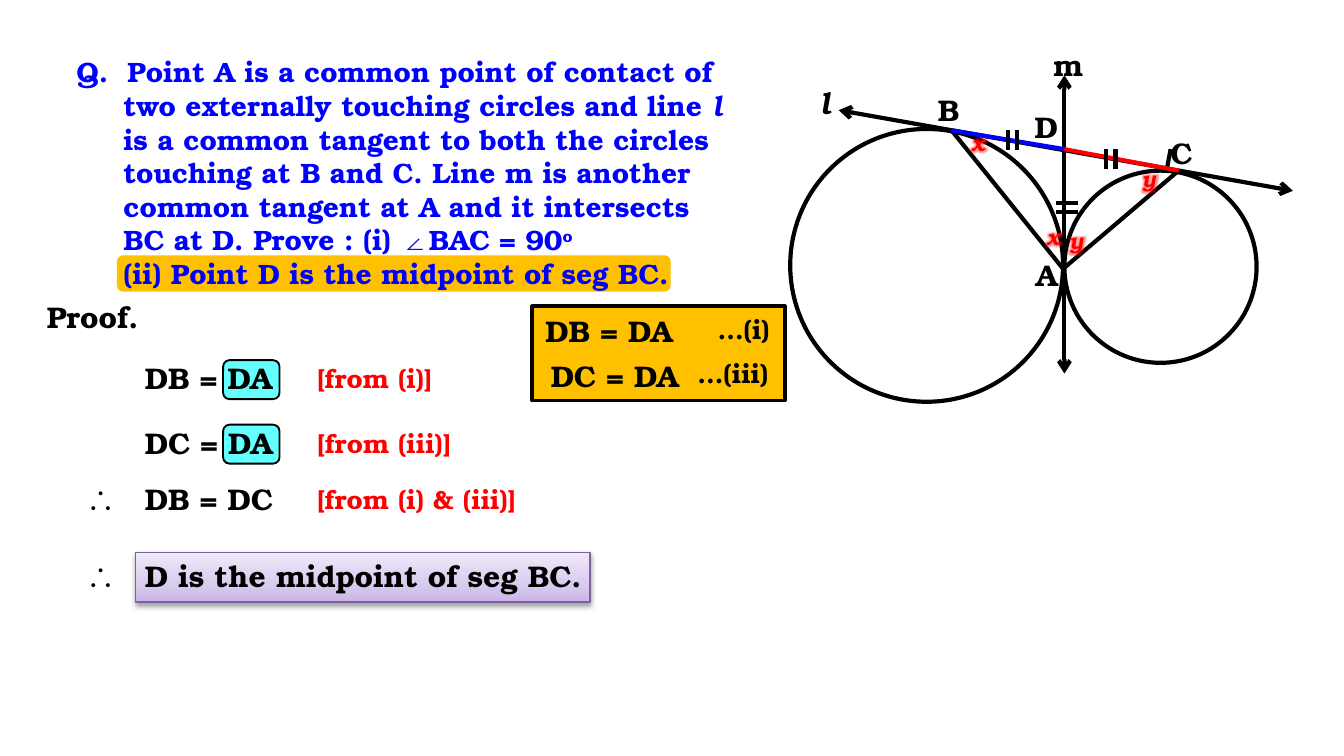
from lxml import etree
from pptx import Presentation
from pptx.dml.color import RGBColor
from pptx.enum import shapes
from pptx.oxml import ns, parse_xml
from pptx.util import Inches, Pt

BLACK = RGBColor(0x00, 0x00, 0x00)
BLUE = RGBColor(0x00, 0x00, 0xFF)
RED = RGBColor(0xFF, 0x00, 0x00)
AMBER = RGBColor(0xFF, 0xC0, 0x00)
CYAN = RGBColor(0x66, 0xFF, 0xFF)
PURPLE = RGBColor(0x7D, 0x60, 0xA0)
LILACS = ((0, "C9B5E8"), (35, "D8CBEE"), (100, "F0EAF9"))
SERIF = "TeX Gyre Bonum"
SANS = "Arial"
SHAPE = shapes.MSO_SHAPE


def style(paragraph, size, color, name=SERIF, italic=False):
    """Set the bold font shared by a paragraph."""
    font = paragraph.font
    font.size, font.name, font.bold, font.italic = Pt(size), name, True, italic
    font.color.rgb = color


def add_text(slide, words, left, top, width, height=0.37, size=16,
             color=BLACK, name=SERIF, italic=False, wrap=False):
    """Place one line of text and return its paragraph."""
    box = slide.shapes.add_textbox(
        Inches(left), Inches(top), Inches(width), Inches(height))
    box.text_frame.word_wrap = wrap
    paragraph = box.text_frame.paragraphs[0]
    paragraph.add_run().text = words
    style(paragraph, size, color, name, italic)
    return paragraph


def add_shape(slide, kind, left, top, width, height, fill=None, line=None, weight=1):
    """Place a flat preset shape."""
    shape = slide.shapes.add_shape(
        kind, Inches(left), Inches(top), Inches(width), Inches(height))
    shape.shadow.inherit = False
    if fill is None:
        shape.fill.background()
    else:
        shape.fill.solid()
        shape.fill.fore_color.rgb = fill
    if line is None:
        shape.line.fill.background()
    else:
        shape.line.color.rgb = line
        shape.line.width = Pt(weight)
    return shape


def add_line(slide, start, end, color=BLACK, arrows=False):
    """Draw a straight line, with arrowheads at both ends if asked."""
    connector = slide.shapes.add_connector(
        shapes.MSO_CONNECTOR.STRAIGHT, *map(Inches, (*start, *end)))
    connector.line.color.rgb = color
    connector.line.width = Pt(2.25)
    if arrows:
        outline = connector.line._get_or_add_ln()
        for tag in ("a:headEnd", "a:tailEnd"):
            etree.SubElement(outline, ns.qn(tag), type="arrow")
    etree.SubElement(connector._element.spPr, ns.qn("a:effectLst"))


def add_glow(run):
    """Put a soft red glow round a run."""
    run._r.get_or_add_rPr().append(parse_xml(
        f'<a:effectLst {ns.nsdecls("a")}><a:glow rad="63500"><a:srgbClr val="FF0000">'
        '<a:alpha val="40000"/></a:srgbClr></a:glow></a:effectLst>'))


def add_lilac_panel(slide, left, top, width, height):
    """Place the shaded panel behind the conclusion."""
    panel = add_shape(slide, SHAPE.RECTANGLE, left, top, width, height, None, PURPLE, 0.75)
    properties = panel._element.spPr
    stops = "".join(f'<a:gs pos="{position * 1000}"><a:srgbClr val="{color}"/></a:gs>'
                    for position, color in LILACS)
    properties.replace(properties.find(ns.qn("a:noFill")), parse_xml(
        f'<a:gradFill {ns.nsdecls("a")} rotWithShape="1"><a:gsLst>{stops}</a:gsLst>'
        '<a:lin ang="16200000" scaled="0"/></a:gradFill>'))
    properties.find(ns.qn("a:effectLst")).append(parse_xml(
        f'<a:outerShdw {ns.nsdecls("a")} blurRad="39370" dist="20320" dir="5400000" '
        'rotWithShape="0"><a:srgbClr val="000000"><a:alpha val="38000"/>'
        '</a:srgbClr></a:outerShdw>'))


def add_question(slide, left, top):
    """Write the question and highlight its second part."""
    add_shape(slide, SHAPE.ROUNDED_RECTANGLE, left + 0.4, top + 1.54, 4.12, 0.27, AMBER)
    lines = (
        ("Q.\tPoint A is a common point of contact of",),
        ("two externally touching circles and line ", "l"),
        ("is a common tangent to both the circles",),
        ("touching at B and C. Line m is another",),
        ("common tangent at A and it intersects",),
        ("BC at D. Prove : (i) ", "∠", "BAC = 90", "o"),
        ("(ii) Point D is the midpoint of seg BC.",),
    )
    box = slide.shapes.add_textbox(Inches(left), Inches(top), Inches(5.69), Inches(1.87))
    frame = box.text_frame
    frame.word_wrap = True
    for index, parts in enumerate(lines):
        paragraph = frame.paragraphs[0] if index == 0 else frame.add_paragraph()
        indent = 0.35 if index else 0.38
        properties = paragraph._p.get_or_add_pPr()
        properties.set("marL", str(Inches(indent)))
        properties.set("indent", str(0 if index else -Inches(indent)))
        style(paragraph, 15, BLUE)
        for part in parts:
            run = paragraph.add_run()
            run.text = part
            if part == "l":
                run.font.italic = True
            elif part == "∠":
                run.font.name = SANS
            elif part == "o":
                run._r.get_or_add_rPr().set("baseline", "30000")


def add_proof(slide, left, top):
    """Write the steps of the proof and its conclusion."""
    add_text(slide, "Proof.", left, top, 0.89)
    steps = (
        (0.46, "DB = DA", "[from (i)]", 1.07),
        (0.94, "DC = DA", "[from (iii)]", 1.21),
        (1.36, "DB = DC", "[from (i) & (iii)]", 1.7),
    )
    for offset, equation, reason, width in steps:
        if equation.endswith("DA"):
            add_shape(slide, SHAPE.ROUNDED_RECTANGLE, left + 1.41, top + offset + 0.05,
                      0.42, 0.29, CYAN, BLACK)
        add_text(slide, equation, left + 0.73, top + offset, 1.17)
        add_text(slide, reason, left + 2.01, top + offset + 0.02, width, 0.34, 14, RED)
    add_lilac_panel(slide, left + 0.76, top + 1.94, 3.38, 0.37)
    add_text(slide, "D is the midpoint of seg BC.", left + 0.73, top + 1.93, 3.5)
    for offset in (1.36, 1.93):
        add_text(slide, "∴", left + 0.29, top + offset, 0.4, name=SANS)


def add_known_results(slide, left, top):
    """List the results already proved."""
    add_shape(slide, SHAPE.RECTANGLE, left, top, 1.88, 0.7, AMBER, BLACK, 2)
    add_text(slide, "DB = DA", left, top, 1.16)
    add_text(slide, "…(i)", left + 1.28, top, 0.59, 0.34, 14)
    add_text(slide, "DC = DA", left + 0.04, top + 0.33, 1.17)
    add_text(slide, "…(iii)", left + 1.13, top + 0.33, 0.73, 0.34, 14)


def add_figure(slide, left, top):
    """Draw the touching circles with their common tangents."""
    def at(x, y):
        return left + x, top + y

    a, b, c, d = at(2.03, 1.7), at(1.2, 0.67), at(2.89, 0.97), at(2.04, 0.81)
    for x, y, diameter in ((0, 0.66, 2.03), (2.04, 0.97, 1.43)):
        add_shape(slide, SHAPE.OVAL, *at(x, y), diameter, diameter, None, BLACK, 2.25)
    add_line(slide, at(0.36, 0.52), at(3.74, 1.12), arrows=True)
    add_line(slide, at(2.04, 0.26), at(2.04, 2.48), arrows=True)
    labels = (("m", 1.86, 0), ("l", 0.12, 0.28), ("A", 1.73, 1.56),
              ("B", 1, 0.33), ("C", 2.73, 0.65), ("D", 1.72, 0.46))
    for letter, x, y in labels:
        add_text(slide, letter, *at(x, y), 0.23 if letter in "ml" else 0.32,
                 italic=letter == "l", wrap=True)
    add_line(slide, a, b)
    add_line(slide, a, c)
    add_line(slide, at(2.83, 0.81), at(2.8, 0.97))
    for letter, x, y in (("x", 1.81, 1.31), ("y", 1.98, 1.34),
                         ("y", 2.52, 0.88), ("x", 1.25, 0.61)):
        paragraph = add_text(slide, letter, *at(x, y), 0.3, 0.3, 12, RED, italic=True)
        add_glow(paragraph.runs[0])
    add_line(slide, b, d, BLUE)
    add_line(slide, d, c, RED)
    for gap in (0, 0.07):
        for x, y in ((1.62, 0.67), (2.35, 0.81)):
            add_line(slide, at(x + gap, y), at(x + gap, y + 0.15))
        add_line(slide, at(1.98, 1.21 + gap), at(2.14, 1.21 + gap))


def main():
    """Build the slide and save it."""
    presentation = Presentation()
    presentation.slide_width = Inches(10)
    presentation.slide_height = presentation.slide_width * 9 // 16
    slide = presentation.slides.add_slide(presentation.slide_layouts[6])
    add_question(slide, 0.47, 0.36)
    add_proof(slide, 0.25, 2.17)
    add_known_results(slide, 3.96, 2.28)
    add_figure(slide, 5.88, 0.3)
    presentation.save("out.pptx")


if __name__ == "__main__":
    main()
